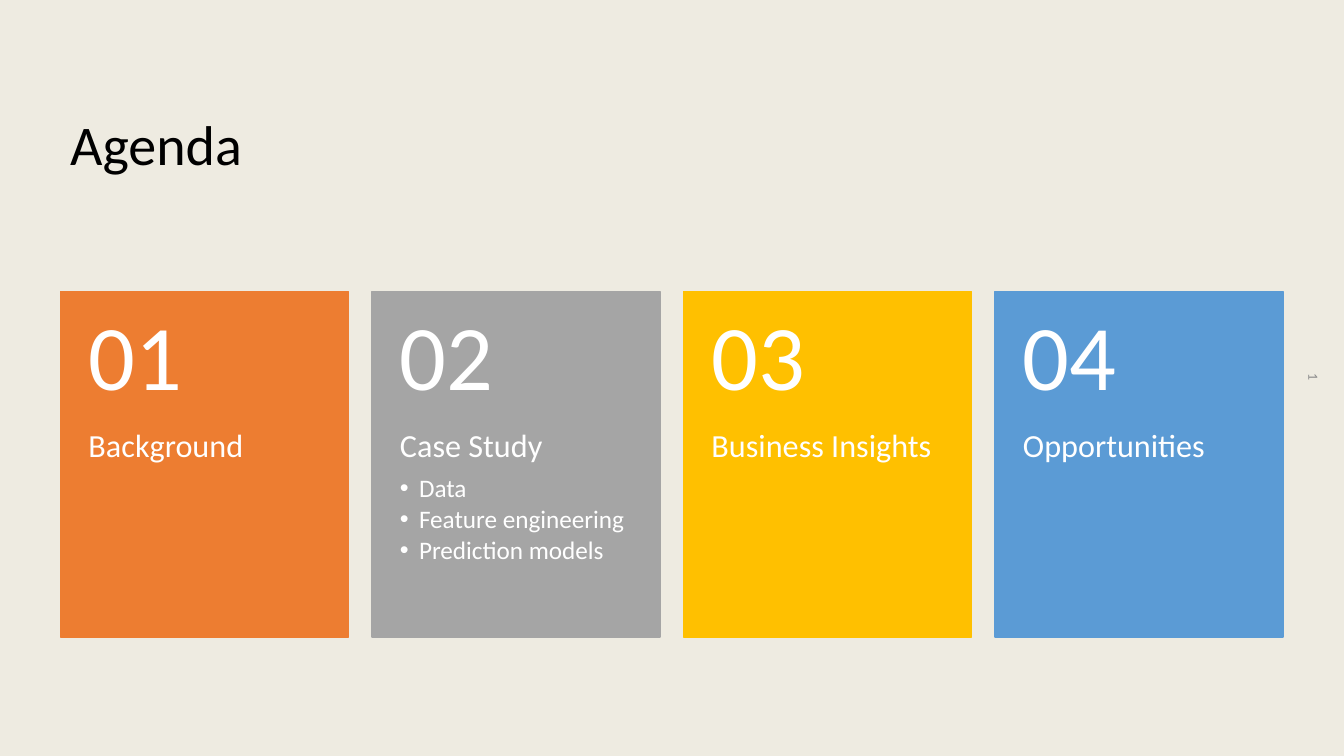
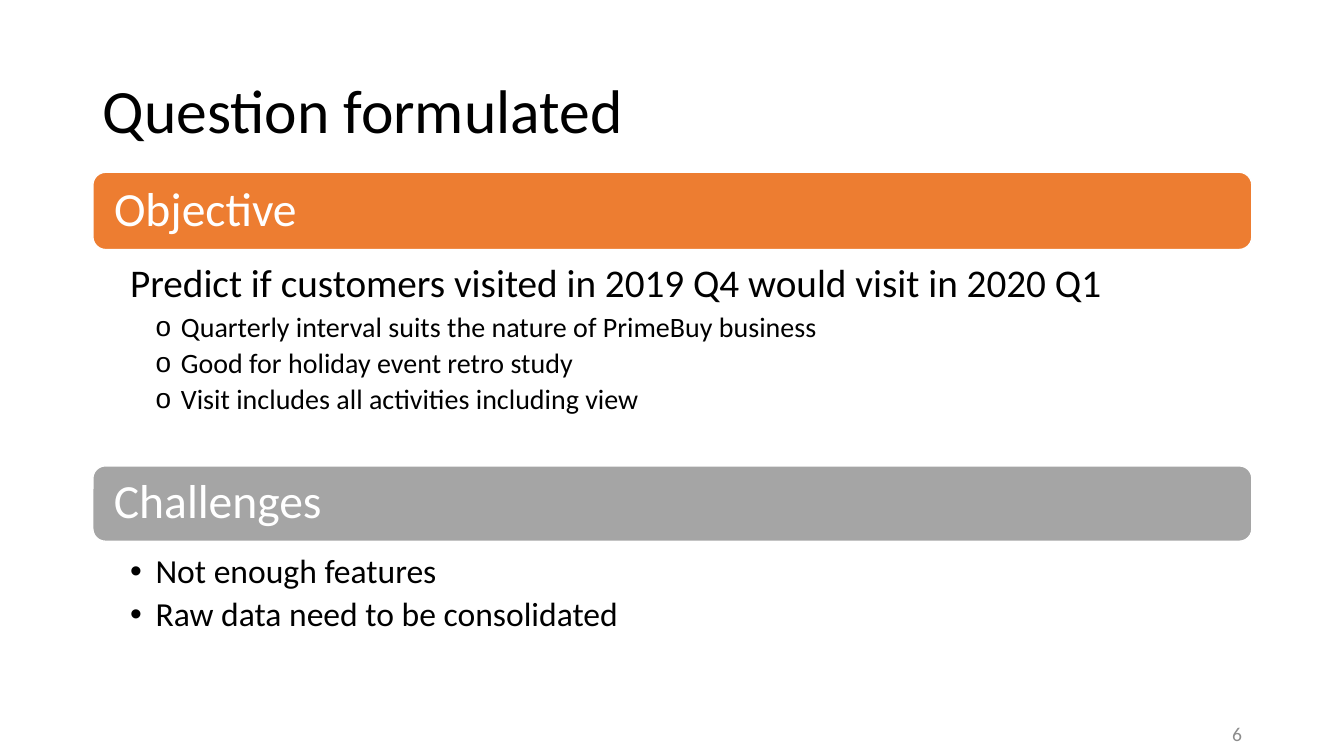
from pptx import Presentation
from pptx.dml.color import RGBColor
from pptx.enum.shapes import MSO_SHAPE
from pptx.enum.text import MSO_ANCHOR, MSO_AUTO_SIZE, PP_ALIGN
from pptx.oxml.ns import qn
from pptx.util import Cm, Pt
from lxml import etree

FONT = "Calibri"
BLACK = RGBColor(0x00, 0x00, 0x00)
WHITE = RGBColor(0xFF, 0xFF, 0xFF)
CREAM = RGBColor(0xEE, 0xEB, 0xE1)
MUTED = RGBColor(0x8C, 0x8C, 0x8C)
ORANGE = RGBColor(0xED, 0x7D, 0x31)
GRAY = RGBColor(0xA5, 0xA5, 0xA5)
GOLD = RGBColor(0xFF, 0xC0, 0x00)
BLUE = RGBColor(0x5B, 0x9B, 0xD5)

LEFT, RIGHT, CENTER = PP_ALIGN.LEFT, PP_ALIGN.RIGHT, PP_ALIGN.CENTER
TOP, MIDDLE = MSO_ANCHOR.TOP, MSO_ANCHOR.MIDDLE
ROUNDED = MSO_SHAPE.ROUNDED_RECTANGLE
FIXED = MSO_AUTO_SIZE.NONE
TWO_LISTS, FOUR_LISTS = 3, 4  # layouts of the default template

# Content: heading, colour, bullet items
CARDS = [
    ("Background", ORANGE, []),
    ("Case Study", GRAY, ["Data", "Feature engineering", "Prediction models"]),
    ("Business Insights", GOLD, []),
    ("Opportunities", BLUE, []),
]

# Paragraph styles: size, space after (share of size), indent in cm, bullet, level
NUMBER = (66, 0.35, 0, None, 0)
CARD_HEAD = (23, 0.35, 0, None, 0)
CARD_ITEM = (18, 0.15, 0.48, "•", 1)
BAR_HEAD = (34, 0.35, 0, None, 0)
LEAD = (28, 0.2, 0, None, 0)
DETAIL = (20, 0.2, 0.64, "o", 2)
POINT = (24, 0.2, 0.64, "•", 1)

# Sections: heading, colour, bar top, bar height, list top, list height, lines
SECTIONS = [
    ("Objective", ORANGE, 4.34, 1.95, 6.53, 5.03, [
        ("Predict if customers visited in 2019 Q4 would visit in 2020 Q1", LEAD),
        ("Quarterly interval suits the nature of PrimeBuy business", DETAIL),
        ("Good for holiday event retro study", DETAIL),
        ("Visit includes all activities including view", DETAIL),
    ]),
    ("Challenges", GRAY, 11.74, 1.9, 13.87, 3.5, [
        ("Not enough features", POINT),
        ("Raw data need to be consolidated", POINT),
    ]),
]

# Grid in cm
CARD_X, CARD_Y, CARD_W, CARD_H, CARD_STEP = 1.52, 7.34, 7.26, 8.71, 7.85
HEAD_H = 3.48
BODY_X, BODY_W = 2.34, 29.21


def place(shape, x, y, w, h):
    shape.left, shape.top, shape.width, shape.height = map(Cm, (x, y, w, h))


def frame(shape, anchor, insets=(0.25, 0.13, 0.25, 0.13)):
    text = shape.text_frame
    text.word_wrap, text.auto_size = True, FIXED
    text.vertical_anchor = anchor
    (text.margin_left, text.margin_top,
     text.margin_right, text.margin_bottom) = map(Cm, insets)
    return text


def write(para, words, size, color, align=LEFT):
    para.alignment = align
    run = para.add_run()
    run.text = words
    font = run.font
    font.name, font.size, font.bold = FONT, Pt(size), False
    font.color.rgb = color


def fill(text, lines, color):
    """Write (words, style) pairs as paragraphs."""
    for n, (words, style) in enumerate(lines):
        size, after, indent, bullet, level = style
        para = text.add_paragraph() if n else text.paragraphs[0]
        para.level = level
        para.line_spacing = 0.9
        para.space_before, para.space_after = Pt(0), Pt(size * after)
        props = para._p.get_or_add_pPr()
        # Details sit one step further in than first-level items
        props.set("marL", str(Cm(indent * max(level, 1))))
        props.set("indent", str(-Cm(indent)))
        if bullet:
            etree.SubElement(props, qn("a:buChar")).set("char", bullet)
        else:
            etree.SubElement(props, qn("a:buNone"))
        write(para, words, size, color)


def paint(shape, color, edge):
    shape.fill.solid()
    shape.fill.fore_color.rgb = color
    shape.line.color.rgb = edge
    shape.line.width = Pt(1)


def start(deck, layout, title, size, box):
    slide = deck.slides.add_slide(deck.slide_layouts[layout])
    head = slide.shapes.title
    place(head, *box)
    para = frame(head, MIDDLE).paragraphs[0]
    para.line_spacing = 0.9
    write(para, title, size, BLACK)
    return slide


def add_box(slide, box, anchor, insets=(0.25, 0.13, 0.25, 0.13)):
    shape = slide.shapes.add_textbox(*map(Cm, box))
    return shape, frame(shape, anchor, insets)


def add_page(slide, number, size, align, box, turn=0):
    shape, text = add_box(slide, box, MIDDLE)
    shape.rotation = turn
    write(text.paragraphs[0], number, size, MUTED, align)


def agenda(deck):
    slide = start(deck, FOUR_LISTS, "Agenda", 40, (CARD_X, 1.88, 30.81, 3.68))
    slide.background.fill.solid()
    slide.background.fill.fore_color.rgb = CREAM
    for n, (head, color, items) in enumerate(CARDS):
        x = CARD_X + n * CARD_STEP
        card = slide.placeholders[n + 1]
        place(card, x, CARD_Y, CARD_W, CARD_H)
        paint(card, color, color)
        lines = [(head, CARD_HEAD)] + [(item, CARD_ITEM) for item in items]
        fill(frame(card, TOP, (0.71, HEAD_H, 0.71, 0.91)), lines, WHITE)
        text = add_box(slide, (x, CARD_Y, CARD_W, HEAD_H), MIDDLE,
                       (0.71, 0.46, 0.71, 0.46))[1]
        fill(text, [(f"{n + 1:02}", NUMBER)], WHITE)
    add_page(slide, "1", 10, CENTER, (25.1, 8.74, 16.03, 1.52), 90)


def question(deck):
    slide = start(deck, TWO_LISTS, "Question formulated", 44,
                  (BODY_X, 1.02, BODY_W, 3.68))
    for n, (head, color, bar_y, bar_h, y, h, lines) in enumerate(SECTIONS, 1):
        bar = slide.shapes.add_shape(
            ROUNDED, *map(Cm, (BODY_X, bar_y, BODY_W, bar_h)))
        bar.shadow.inherit = False
        paint(bar, color, WHITE)
        fill(frame(bar, MIDDLE, (0.44, 0.1, 0.44, 0.1)), [(head, BAR_HEAD)], WHITE)
        body = slide.placeholders[n]
        place(body, BODY_X, y, BODY_W, h)
        fill(frame(body, TOP, (0.94, 0.1, 0.5, 0.1)), lines, BLACK)
    add_page(slide, "6", 14, RIGHT, (23.93, 17.98, 7.62, 1.02))


def main():
    deck = Presentation()
    deck.slide_width, deck.slide_height = Cm(33.87), Cm(19.05)
    agenda(deck)
    question(deck)
    deck.save("out.pptx")


if __name__ == "__main__":
    main()
